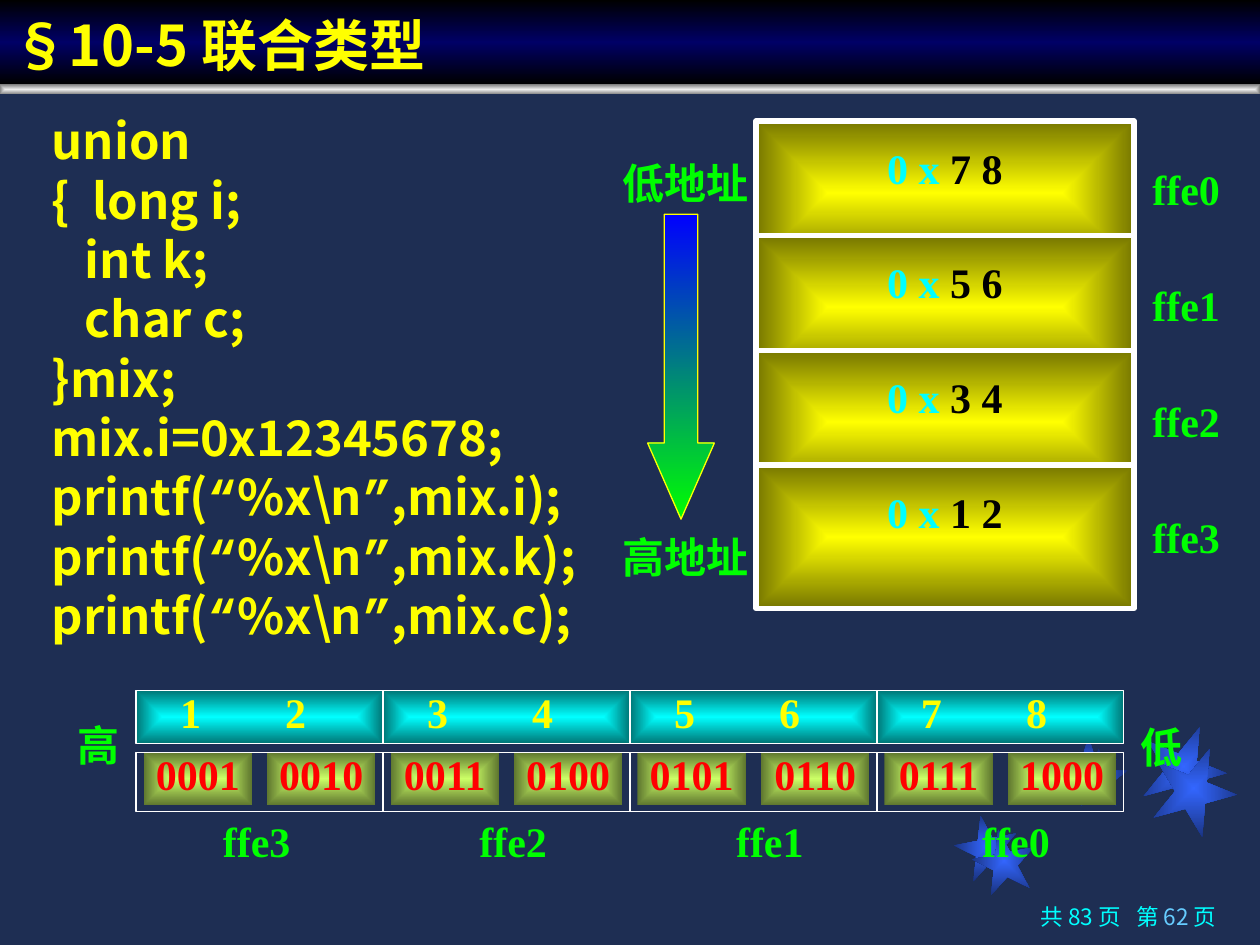
from lxml import etree
from pptx import Presentation, util as u
from pptx.dml.color import RGBColor
from pptx.enum import shapes, text
from pptx.oxml.ns import qn

PX = 9144  # 100 px to the inch


class Theme:
    back = "1E2E53"
    yellow, green, cyan = "FFFF00", "00FF00", "00FFFF"
    white, black, red, sky = "FFFFFF", "000000", "FF0000", "66CCFF"
    star = ("3366FF", "182F76")
    rule = ("EDEDED", "808080")
    band = ("000000", "000066", "000000")
    cell = ("FFFF00", "767600")
    byte = ("00FFFF", "007676")
    bits = ("CCFF66", "5E762F")
    arrow = ("0000FF", "00FF00")
    sans, serif, mono = "Noto Sans CJK SC", "Times New Roman", "Courier New"
    head, code, label, foot = 32, 28, 24, 12.9


LEFT, MID, RIGHT = text.PP_ALIGN.LEFT, text.PP_ALIGN.CENTER, text.PP_ALIGN.RIGHT
TOP, BASE = text.MSO_ANCHOR.TOP, text.MSO_ANCHOR.BOTTOM
RECT = shapes.MSO_SHAPE.RECTANGLE


def paint(shape, stops=(), angle=None, line=None, width=0.75):
    """Fill with a gradient: linear at an angle, else from the centre out."""
    if stops:
        shape.fill.solid()
        old = shape._element.spPr.find(qn("a:solidFill"))
        grad = etree.Element(qn("a:gradFill"), rotWithShape="1")
        row = etree.SubElement(grad, qn("a:gsLst"))
        for i, color in enumerate(stops):
            stop = etree.SubElement(row, qn("a:gs"), pos=str(100000 * i // (len(stops) - 1)))
            etree.SubElement(stop, qn("a:srgbClr"), val=color)
        if angle is None:
            way = etree.SubElement(grad, qn("a:path"), path="rect")
            etree.SubElement(way, qn("a:fillToRect"), l="50000", t="50000", r="50000", b="50000")
        else:
            etree.SubElement(grad, qn("a:lin"), ang=str(angle * 60000), scaled="0")
        old.getparent().replace(old, grad)
    else:
        shape.fill.background()
    if line:
        shape.line.color.rgb = RGBColor.from_string(line)
        shape.line.width = u.Pt(width)
    else:
        shape.line.fill.background()
    shape.shadow.inherit = False


def write(shape, paras, size=Theme.label, font=Theme.serif, color=Theme.green, bold=True,
          align=LEFT, anchor=TOP, wrap=True, space=1.0, before=0, inset=10, hang=0):
    """Each paragraph is a list of runs: (text, colour, font, extra letter spacing in points)."""
    frame = shape.text_frame
    frame.auto_size = text.MSO_AUTO_SIZE.NONE
    frame.word_wrap, frame.vertical_anchor = wrap, anchor
    frame.margin_left, frame.margin_right = inset * PX, 10 * PX
    frame.margin_top = frame.margin_bottom = 5 * PX
    for i, runs in enumerate(paras):
        para = frame.add_paragraph() if i else frame.paragraphs[0]
        para.alignment, para.line_spacing = align, space
        para.space_before = u.Pt(before if i else 0)
        props = para._p.get_or_add_pPr()
        props.set("marL", str(hang * PX))
        props.set("indent", str(-hang * PX))
        etree.SubElement(props, qn("a:buNone"))
        for words, tint, face, *gap in runs:
            run = para.add_run()
            run.text = words
            run.font.size, run.font.bold = u.Pt(size), bold
            run.font.name = face or font
            run.font.color.rgb = RGBColor.from_string(tint or color)
            east = etree.Element(qn("a:ea"), typeface=Theme.sans)
            run.font._element.find(qn("a:latin")).addnext(east)
            if gap:
                run.font._element.set("spc", str(gap[0] * 100))


deck = Presentation()
deck.slide_width, deck.slide_height = 1000 * PX, 750 * PX
slide = deck.slides.add_slide(deck.slide_layouts[1])
slide.background.fill.solid()
slide.background.fill.fore_color.rgb = RGBColor.from_string(Theme.back)
add = slide.shapes.add_shape
note = slide.shapes.add_textbox

# Stars, each with a shifted twin
for x, y, size, turn, dx, dy in ((758, 647, 50, 349, 14, 11), (841, 585, 46, 0, 8, 9),
                                 (906, 575, 67, 22, 8, 17)):
    for k in range(2):
        star = add(shapes.MSO_SHAPE.STAR_5_POINT, (x + k * dx) * PX, (y + k * dy) * PX,
                   size * PX, size * PX)
        star.rotation = turn
        paint(star, Theme.star)

# Title band and rule
paint(add(RECT, 0, 67 * PX, 1000 * PX, 8 * PX), Theme.rule)
title, body = slide.placeholders
title.left, title.top, title.width, title.height = 0, 0, 1000 * PX, 67 * PX
paint(title, Theme.band, angle=90)
write(title, [[("§10-5 联合类型", None, None)]], size=Theme.head, font=Theme.sans,
      color=Theme.yellow, anchor=BASE)

# Code
body.left, body.top, body.width, body.height = (n * PX for n in (31, 92, 469, 458))
lines = [[(row, None, None)] for row in
         ("union", "{  long i;", "   int k;", "   char c;", "}mix;", "mix.i=0x12345678;")]
lines += [[("printf(", None, None), ("“", None, Theme.mono), ("%x\\n", None, None),
           ("”", None, Theme.mono), (f",mix.{name});", None, None)] for name in "ikc"]
write(body, lines, size=Theme.code, font=Theme.sans, color=Theme.yellow,
      align=text.PP_ALIGN.JUSTIFY, space=0.8, before=7, hang=38)

# Memory cells with their addresses
for i, pair in enumerate(("7 8", "5 6", "3 4", "1 2")):
    cell = add(RECT, 600 * PX, (96 + 91 * i) * PX, 300 * PX, 114 * PX)
    paint(cell, Theme.cell, line=Theme.white, width=3)
    write(cell, [[("0 x ", Theme.cyan, None), (pair, Theme.black, None)]], align=MID, space=1.3)

labels = [(f"ffe{i}", 905, 125 + 92 * i, 73) for i in range(4)]
labels += [("高地址", 484, 417, 120), ("低地址", 484, 120, 120),
           ("低", 895, 568, 53), ("高", 52, 566, 53)]
for words, x, y, w in labels:
    write(note(x * PX, y * PX, w * PX, 50 * PX), [[(words, None, None)]],
          align=MID, wrap=False)

arrow = add(shapes.MSO_SHAPE.DOWN_ARROW, 514 * PX, 170 * PX, 53 * PX, 242 * PX)
arrow.adjustments[0], arrow.adjustments[1] = 0.5, 1.14
paint(arrow, Theme.arrow, angle=90, line=Theme.yellow)

# Bytes in hex above, in bits below
for i in range(4):
    byte = add(RECT, (108 + 196 * i) * PX, 548 * PX, 196 * PX, 42 * PX)
    paint(byte, Theme.byte, line=Theme.white)
    write(byte, [[(str(2 * i + 1), None, None), (" ", None, None, 42),
                  (str(2 * i + 2), None, None)]], color=Theme.yellow, space=0.8, inset=35)
for i in range(8):
    bits = add(RECT, (114 + 98 * i) * PX, 597 * PX, 86 * PX, 42 * PX)
    paint(bits, Theme.bits)
    write(bits, [[(f"{i + 1:04b}", None, None)]], color=Theme.red, align=MID,
          wrap=False, space=0.8)
for i in range(4):
    paint(add(RECT, (108 + 196 * i) * PX, 597 * PX, 196 * PX, 47 * PX), line=Theme.white)

places = [("ffe3", None, None)]
for words, gap in (("ffe2", 102), ("ffe1", 102), ("ffe0", 96)):
    places += [(" ", None, None, gap), (words, None, None)]
write(note(167 * PX, 642 * PX, 692 * PX, 50 * PX), [places])

# Page count
write(note(712 * PX, 714 * PX, 263 * PX, 36 * PX),
      [[("共 83 页", None, None), (" ", None, None, 6), ("第 ", None, None),
        ("62 ", Theme.sky, None), ("页", None, None)]],
      size=Theme.foot, font=Theme.sans, color=Theme.cyan, bold=False, space=0.9, align=RIGHT)

deck.save("out.pptx")
